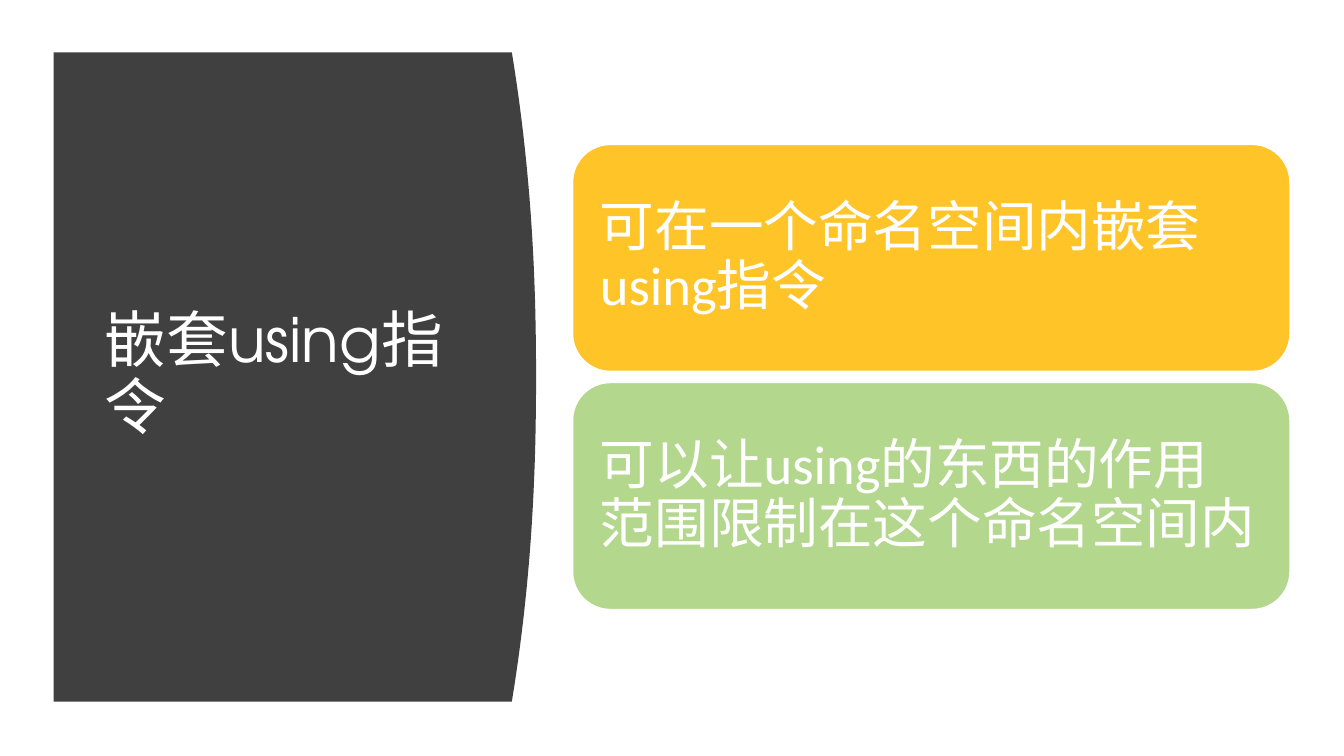
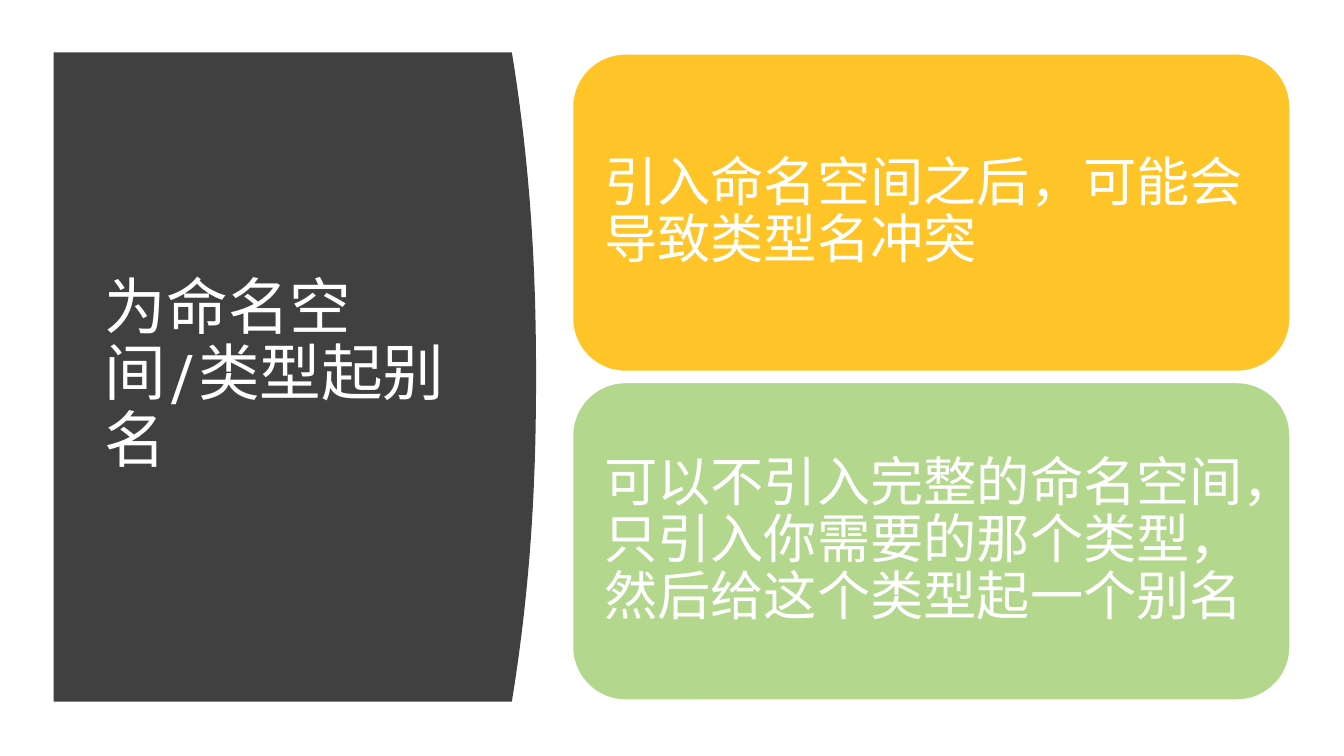
from pptx import Presentation
from pptx.dml.color import RGBColor
from pptx.enum.lang import MSO_LANGUAGE_ID as Language
from pptx.enum.shapes import MSO_SHAPE as Shape
from pptx.enum.text import MSO_ANCHOR as Anchor, MSO_AUTO_SIZE as AutoSize, PP_ALIGN as Align
from pptx.util import Cm, Pt

# Content: title, card height in cm, card text size, card texts
SLIDES = [
    ("嵌套using指令", 5.72, 39, [
        "可在一个命名空间内嵌套using指令",
        "可以让using的东西的作用范围限制在这个命名空间内",
    ]),
    ("为命名空间/类型起别名", 8, 38, [
        "引入命名空间之后，可能会导致类型名冲突",
        "可以不引入完整的命名空间，只引入你需要的那个类型，然后给这个类型起一个别名",
    ]),
]

# Shared style
WHITE = RGBColor(0xFF, 0xFF, 0xFF)
CHARCOAL = RGBColor(0x40, 0x40, 0x40)
AMBER = RGBColor(0xFF, 0xC4, 0x27)
GREEN = RGBColor(0xB4, 0xD7, 0x8E)
CARD_COLORS = [AMBER, GREEN]
TITLE_FONT, CARD_FONT = "TeX Gyre Adventor", "Calibri"
TITLE_SIZE = 44

# Shared geometry in cm
PANEL_LEFT, PANEL_TOP, PANEL_HEIGHT = 1.35, 1.32, 16.36
PANEL_EDGE, PANEL_BULGE, CURVE_STEPS = 12.9, 0.61, 40
CARD_LEFT, CARD_WIDTH, CARD_GAP, CARD_INSET = 14.43, 18.08, 0.28, 0.41


def style_text(frame, text, font_name, size):
    frame.text = text
    frame.word_wrap = True
    frame.auto_size = AutoSize.NONE
    frame.vertical_anchor = Anchor.MIDDLE
    paragraph = frame.paragraphs[0]
    paragraph.alignment = Align.LEFT
    paragraph.line_spacing = 0.9
    font = paragraph.runs[0].font
    font.name, font.size = font_name, Pt(size)
    font.color.rgb = WHITE
    font.language_id = Language.SIMPLIFIED_CHINESE


def add_panel(slide):
    """Dark panel whose right side bows outwards."""
    outline = []
    for step in range(CURVE_STEPS + 1):
        down = step / CURVE_STEPS
        bow = 1 - abs(2 * down - 1) ** 2.2
        outline.append((Cm(PANEL_EDGE + PANEL_BULGE * bow),
                        Cm(PANEL_TOP + PANEL_HEIGHT * down)))
    outline.append((Cm(PANEL_LEFT), Cm(PANEL_TOP + PANEL_HEIGHT)))
    builder = slide.shapes.build_freeform(Cm(PANEL_LEFT), Cm(PANEL_TOP))
    builder.add_line_segments(outline, close=True)
    panel = builder.convert_to_shape()
    panel.shadow.inherit = False
    panel.fill.solid()
    panel.fill.fore_color.rgb = CHARCOAL
    panel.line.fill.background()
    return panel


def add_title(slide, text):
    # The panel goes behind the title placeholder
    title = slide.shapes.title
    panel = add_panel(slide)
    panel.element.addnext(title.element)
    title.left, title.top = Cm(2.39), Cm(2.82)
    title.width, title.height = Cm(9.5), Cm(13.31)
    style_text(title.text_frame, text, TITLE_FONT, TITLE_SIZE)


def add_cards(slide, texts, height, size):
    # The stack of cards is centred on the panel
    pitch = height + CARD_GAP
    stack_height = pitch * len(texts) - CARD_GAP
    top = PANEL_TOP + (PANEL_HEIGHT - stack_height) / 2
    for row, (text, color) in enumerate(zip(texts, CARD_COLORS)):
        card = slide.shapes.add_shape(
            Shape.ROUNDED_RECTANGLE, Cm(CARD_LEFT), Cm(top + row * pitch),
            Cm(CARD_WIDTH), Cm(height))
        card.shadow.inherit = False
        card.fill.solid()
        card.fill.fore_color.rgb = color
        card.line.color.rgb = WHITE
        card.line.width = Pt(1)
        frame = card.text_frame
        frame.margin_left = frame.margin_right = Cm(CARD_INSET)
        frame.margin_top = frame.margin_bottom = Cm(CARD_INSET)
        style_text(frame, text, CARD_FONT, size)


def main():
    deck = Presentation()
    deck.slide_width, deck.slide_height = Cm(33.87), Cm(19.05)
    title_only = deck.slide_layouts[5]
    for title, card_height, card_size, card_texts in SLIDES:
        slide = deck.slides.add_slide(title_only)
        add_title(slide, title)
        add_cards(slide, card_texts, card_height, card_size)
    deck.save("out.pptx")


if __name__ == "__main__":
    main()
